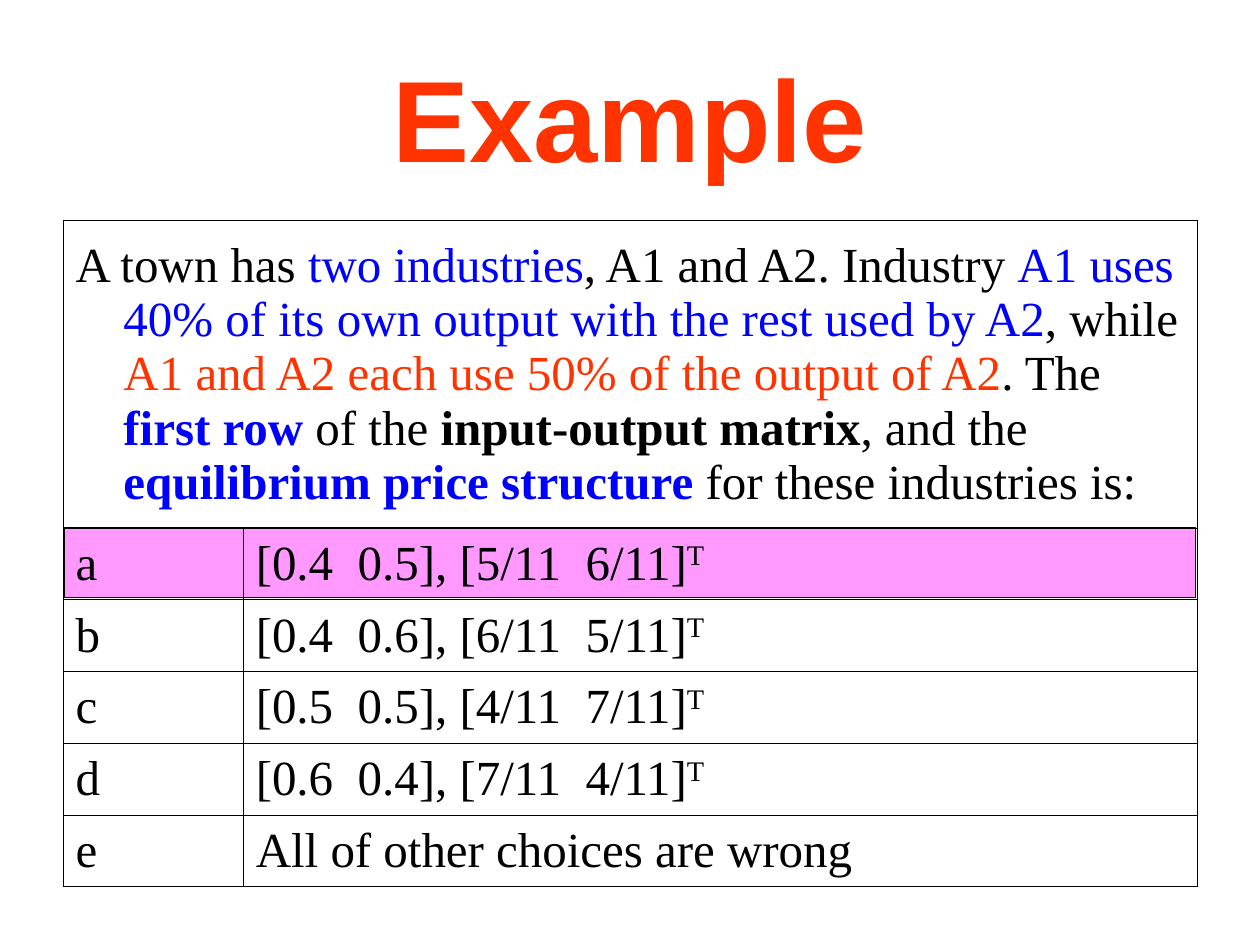
from lxml import etree
from pptx import Presentation
from pptx.dml.color import RGBColor
from pptx.enum.shapes import MSO_SHAPE
from pptx.enum.text import MSO_ANCHOR, PP_ALIGN
from pptx.oxml.ns import qn
from pptx.util import Inches, Pt

RECTANGLE = MSO_SHAPE.RECTANGLE
MIDDLE = MSO_ANCHOR.MIDDLE
CENTER = PP_ALIGN.CENTER
LEFT = PP_ALIGN.LEFT
BLACK = RGBColor(0x00, 0x00, 0x00)
BLUE = RGBColor(0x00, 0x00, 0xFF)
RED = RGBColor(0xFF, 0x33, 0x00)
PINK = RGBColor(0xFF, 0x99, 0xFF)

QUESTION = [
    ("A town has ", BLACK, False),
    ("two industries", BLUE, False),
    (", A1 and A2. Industry ", BLACK, False),
    ("A1 uses 40% of its own output with the rest used by A2", BLUE, False),
    (", while ", BLACK, False),
    ("A1 and A2 each use 50% of the output of A2", RED, False),
    (". The ", BLACK, False),
    ("first row", BLUE, True),
    (" of the ", BLACK, False),
    ("input-output matrix", BLACK, True),
    (", and the ", BLACK, False),
    ("equilibrium price structure", BLUE, True),
    (" for these industries is:", BLACK, False),
]
CHOICES = [
    ("a", "[0.4  0.5], [5/11  6/11]", "T"),
    ("b", "[0.4  0.6], [6/11  5/11]", "T"),
    ("c", "[0.5  0.5], [4/11  7/11]", "T"),
    ("d", "[0.6  0.4], [7/11  4/11]", "T"),
    ("e", "All of other choices are wrong", ""),
]
QUESTION_HEIGHT = 2.44
CHOICE_HEIGHT = 0.57
LETTER_WIDTH = 1.43


def add_title(slide, left, top, width, height):
    """Place and format the title placeholder."""
    title = slide.shapes.title
    title.left, title.top = Inches(left), Inches(top)
    title.width, title.height = Inches(width), Inches(height)
    frame = title.text_frame
    frame.text = "Example"
    frame.vertical_anchor = MIDDLE
    paragraph = frame.paragraphs[0]
    paragraph.alignment = CENTER
    font = paragraph.runs[0].font
    font.name, font.size, font.bold = "Arial", Pt(66), True
    font.color.rgb = RED


def add_highlight(slide, left, top, width, height):
    """Draw the band behind the correct choice."""
    band = slide.shapes.add_shape(
        RECTANGLE, Inches(left), Inches(top), Inches(width), Inches(height))
    band.shadow.inherit = False
    band.fill.solid()
    band.fill.fore_color.rgb = PINK
    band.line.color.rgb = BLACK
    band.line.width = Pt(0.75)


def format_cell(cell):
    """Give a cell thin black borders, no fill and a middle anchor."""
    properties = cell._tc.get_or_add_tcPr()
    for side in ("a:lnL", "a:lnR", "a:lnT", "a:lnB"):
        border = etree.SubElement(properties, qn(side), w=str(Pt(0.45)))
        fill = etree.SubElement(border, qn("a:solidFill"))
        etree.SubElement(fill, qn("a:srgbClr"), val=str(BLACK))
    cell.fill.background()
    cell.vertical_anchor = MIDDLE
    cell.margin_left = cell.margin_right = Inches(0.1)
    cell.margin_top = cell.margin_bottom = Inches(0.05)


def write_cell(cell, pieces, superscript=""):
    """Fill a cell with coloured runs, a hanging indent and a superscript."""
    paragraph = cell.text_frame.paragraphs[0]
    paragraph.alignment = LEFT
    properties = paragraph._p.get_or_add_pPr()
    properties.set("marL", str(Inches(0.38)))
    properties.set("indent", str(Inches(-0.38)))
    if superscript:
        pieces = pieces + [(superscript, BLACK, False)]
    for text, color, bold in pieces:
        run = paragraph.add_run()
        run.text = text
        run.font.name, run.font.size, run.font.bold = "Times New Roman", Pt(28), bold
        run.font.color.rgb = color
    if superscript:
        run._r.get_or_add_rPr().set("baseline", "30000")


def add_question_table(slide, left, top, width):
    """Build the question row and the lettered choices below it."""
    height = QUESTION_HEIGHT + CHOICE_HEIGHT * len(CHOICES)
    table = slide.shapes.add_table(
        len(CHOICES) + 1, 2,
        Inches(left), Inches(top), Inches(width), Inches(height)).table
    table.first_row = table.horz_banding = False
    table.columns[0].width = Inches(LETTER_WIDTH)
    table.columns[1].width = Inches(width - LETTER_WIDTH)
    for index, row in enumerate(table.rows):
        row.height = Inches(CHOICE_HEIGHT if index else QUESTION_HEIGHT)
        for cell in row.cells:
            format_cell(cell)
    table.cell(0, 0).merge(table.cell(0, 1))
    write_cell(table.cell(0, 0), QUESTION)
    for index, (letter, answer, superscript) in enumerate(CHOICES, start=1):
        write_cell(table.cell(index, 0), [(letter, BLACK, False)])
        write_cell(table.cell(index, 1), [(answer, BLACK, False)], superscript)


def main():
    """Build and save the slide."""
    presentation = Presentation()
    presentation.slide_width = Inches(10)
    presentation.slide_height = Inches(7.5)
    slide = presentation.slides.add_slide(presentation.slide_layouts[5])
    add_title(slide, 0.5, 0.3, 9, 1.25)
    add_highlight(slide, 0.51, 4.19, 8.98, 0.55)
    add_question_table(slide, 0.5, 1.75, 9)
    presentation.save("out.pptx")


if __name__ == "__main__":
    main()
